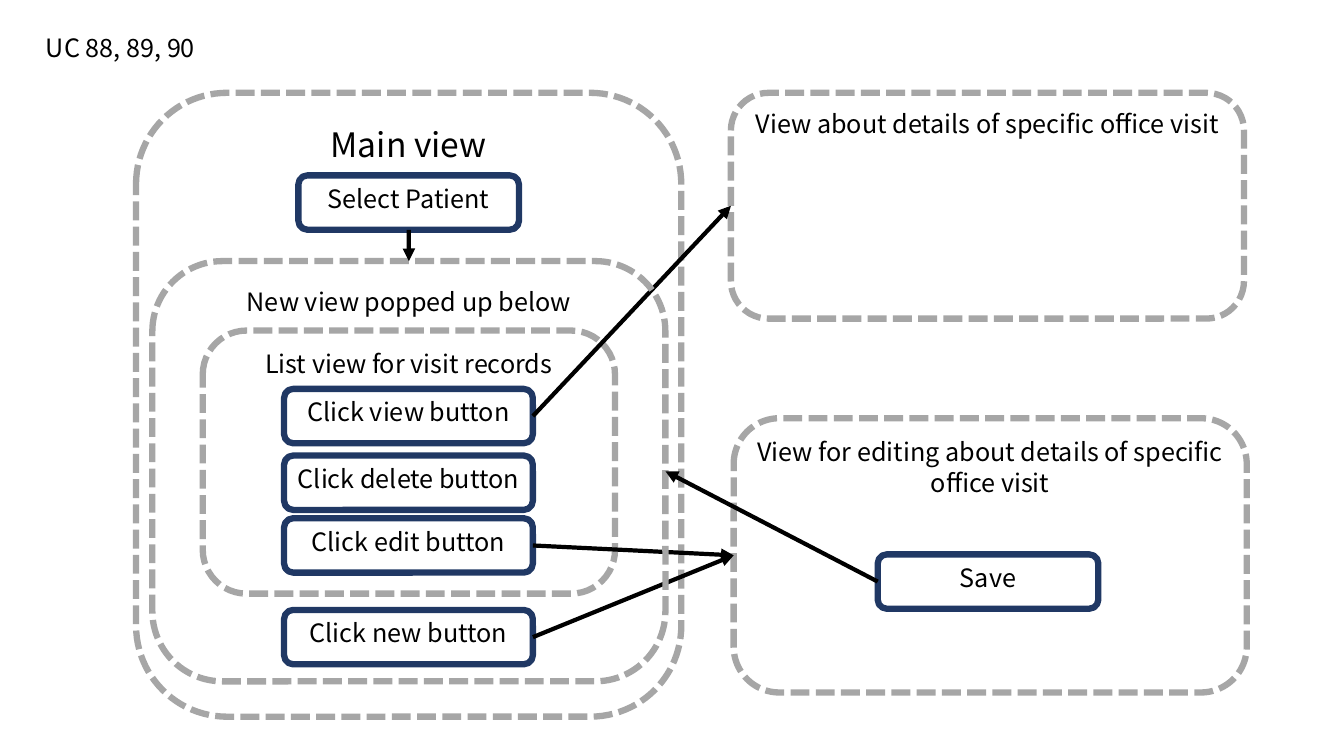
from lxml import etree
from pptx import Presentation
from pptx.dml.color import RGBColor
from pptx.enum import dml, shapes, text
from pptx.oxml import ns
from pptx.util import Cm, Pt

BLACK = RGBColor(0x00, 0x00, 0x00)
GRAY = RGBColor(0xA6, 0xA6, 0xA6)
NAVY = RGBColor(0x20, 0x38, 0x64)
FONT = "Noto Sans CJK KR"
BUTTON_H = 1.37
TOP, LEFT, BOTTOM, RIGHT = range(4)
PANEL = {"width": Pt(4.5), "dash_style": dml.MSO_LINE.SQUARE_DOT}
BUTTON = {"width": Pt(4.5)}


def set_all(target, values):
    for name, value in values.items():
        setattr(target, name, value)


def write(tf, label, size=18, align=text.PP_ALIGN.CENTER):
    set_all(tf, {"word_wrap": True, "vertical_anchor": text.MSO_ANCHOR.TOP})
    p = tf.paragraphs[0]
    p.alignment = align
    r = p.add_run()
    r.text = label
    set_all(r.font, {"name": FONT, "size": Pt(size)})
    r.font.color.rgb = BLACK


def frame(s, box, label, color, line, size=18):
    sp = s.shapes.add_shape(shapes.MSO_SHAPE.ROUNDED_RECTANGLE, *map(Cm, box))
    sp.shadow.inherit = False
    sp.fill.background()
    sp.line.color.rgb = color
    set_all(sp.line, line)
    write(sp.text_frame, label, size)
    return sp


def panel(s, box, label, size=18):
    return frame(s, box, label, GRAY, PANEL, size)


def button(s, x, y, w, label):
    return frame(s, (x, y, w, BUTTON_H), label, NAVY, BUTTON)


def arrow(s, start, start_site, end, end_site):
    c = s.shapes.add_connector(shapes.MSO_CONNECTOR.STRAIGHT, 0, 0, 0, 0)
    c.begin_connect(start, start_site)
    c.end_connect(end, end_site)
    c.line.color.rgb = BLACK
    c.line.width = Pt(3)
    etree.SubElement(c.line._get_or_add_ln(), ns.qn("a:tailEnd"), type="triangle")
    etree.SubElement(c._element.spPr, ns.qn("a:effectLst"))


def heading(s, box):
    sp = s.shapes.add_textbox(*map(Cm, box))
    write(sp.text_frame, "UC 88, 89, 90", align=text.PP_ALIGN.LEFT)


def main_view(s, box):
    x, y, w, h = box
    panel(s, box, "Main view", 24)
    return button(s, x + 4.09, y + 2.08, 5.56, "Select Patient")


def list_view(s, box):
    x, y, w, h = box
    panel(s, box, "List view for visit records")
    offsets = {"view": 1.47, "delete": 3.15, "edit": 4.73, "new": 7.04}
    return {name: button(s, x + 2.05, y + dy, 6.27, f"Click {name} button")
            for name, dy in offsets.items()}


def details_view(s, box):
    return panel(s, box, "View about details of specific office visit")


def edit_view(s, box):
    x, y, w, h = box
    sp = panel(s, box, "View for editing about details of specific office visit")
    return sp, button(s, x + 3.63, y + 3.43, 5.56, "Save")


def popup_view(s, box):
    return panel(s, box, "New view popped up below")


prs = Presentation()
prs.slide_width, prs.slide_height = Cm(33.87), Cm(19.05)
s = prs.slides.add_slide(prs.slide_layouts[6])

heading(s, (0.91, 0.69, 14.43, 1.02))
select = main_view(s, (3.43, 2.34, 13.74, 15.72))
clicks = list_view(s, (5.11, 8.33, 10.39, 6.63))
details = details_view(s, (18.42, 2.34, 12.93, 5.69))
edit, save = edit_view(s, (18.49, 10.54, 12.93, 6.91))
for name, target in (("view", details), ("new", edit), ("edit", edit)):
    arrow(s, clicks[name], RIGHT, target, LEFT)
popup = popup_view(s, (3.84, 6.58, 12.93, 10.59))
arrow(s, select, BOTTOM, popup, TOP)
arrow(s, save, LEFT, popup, RIGHT)

prs.save("out.pptx")
